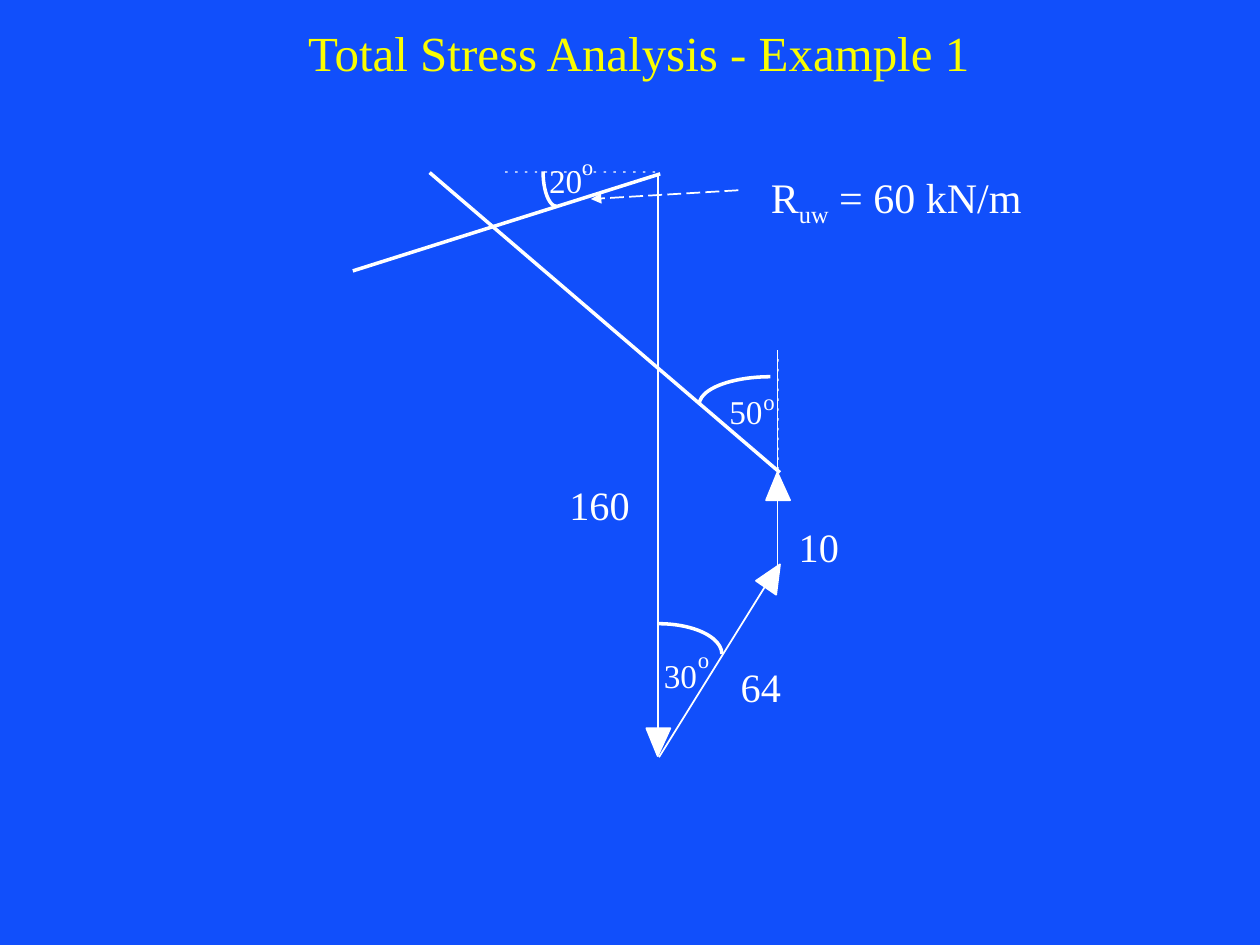
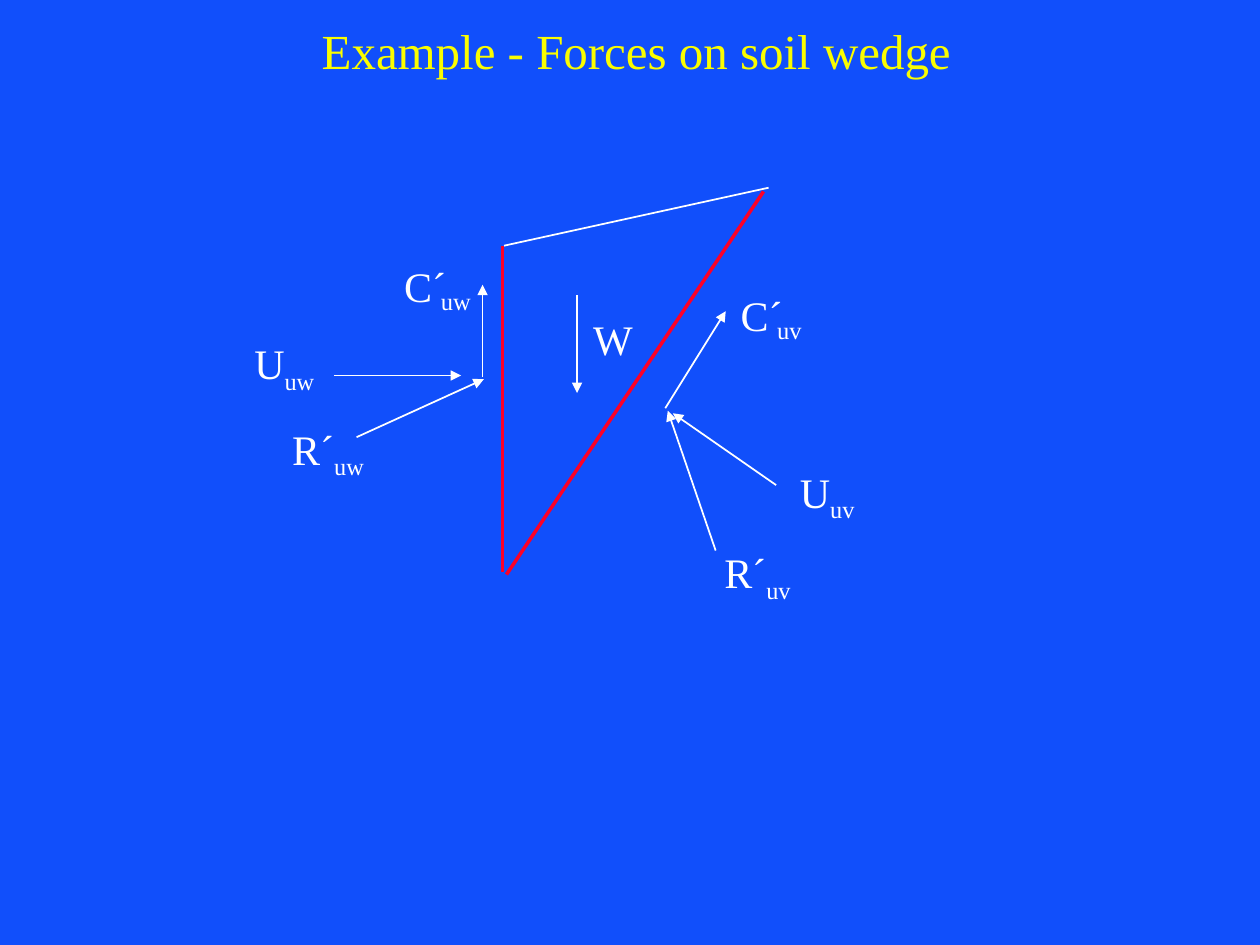
from dataclasses import dataclass

from lxml import etree
from pptx import Presentation
from pptx.dml.color import RGBColor
from pptx.enum.dml import MSO_LINE
from pptx.enum.shapes import MSO_CONNECTOR, MSO_SHAPE
from pptx.enum.text import MSO_ANCHOR, PP_ALIGN
from pptx.oxml.ns import qn
from pptx.util import Inches, Pt

COLORS = {"background": "114FFB", "title": "FAFD00", "ink": "FFFFFF", "slip": "FC0128"}
FONT = "Times New Roman"
STRAIGHT = MSO_CONNECTOR.STRAIGHT
LONG_DASH = MSO_LINE.LONG_DASH
ARC, RECTANGLE = MSO_SHAPE.ARC, MSO_SHAPE.RECTANGLE
TOP = MSO_ANCHOR.TOP
CENTER = PP_ALIGN.CENTER
TITLE_ONLY = 5
DOT_PITCH = 0.078
DOT_LENGTH, DOT_WIDTH = 0.02, 0.01

Point = tuple[float, float]


@dataclass
class Title:
    text: str
    left: float
    top: float
    width: float


@dataclass
class Label:
    left: float
    top: float
    width: float
    text: str
    subscript: str = ""
    rest: str = ""
    size: float = 24


@dataclass
class Line:
    start: Point
    end: Point
    width: float = 1
    arrow: bool = False
    color: str = "ink"
    dashed: bool = False


@dataclass
class AngleArc:
    """Part of an ellipse, with angles in degrees clockwise from the right."""
    left: float
    top: float
    width: float
    height: float
    start: float
    end: float


@dataclass
class DotRow:
    left: float
    top: float
    count: int
    vertical: bool = False


POLYGON_TITLE = Title("Total Stress Analysis - Example 1", 1.23, 0.13, 7.68)
POLYGON_LINES = [
    Line((5.22, 1.39), (5.22, 5.83)),
    Line((5.23, 6.01), (6.1, 4.61)),
    Line((6.17, 4.49), (6.17, 3.91)),
    Line((6.19, 3.75), (3.41, 1.37), width=2),
    Line((5.24, 1.38), (2.8, 2.15), width=2),
    Line((5.86, 1.51), (4.69, 1.58), arrow=True, dashed=True),
    Line((6.17, 3.74), (6.17, 2.78), width=0.25),
]
FORCE_HEADS = [
    [(5.32, 5.78), (5.13, 5.78), (5.22, 6)],
    [(6, 4.61), (6.16, 4.72), (6.19, 4.48)],
    [(6.08, 3.97), (6.27, 3.97), (6.17, 3.75)],
]
REFERENCE_DOTS = [
    DotRow(4.01, 1.36, 16),
    DotRow(6.17, 2.85, 12, vertical=True),
]
ANGLE_ARCS = [
    AngleArc(4.31, 1.08, 0.22, 0.56, 90, 180),
    AngleArc(5.55, 2.99, 1.13, 0.44, 180, 270),
    AngleArc(4.73, 4.95, 1, 0.48, 270, 0),
]
POLYGON_LABELS = [
    Label(5.17, 5.15, 0.46, "30", size=19),
    Label(5.44, 5.08, 0.29, "o", size=13),
    Label(5.69, 3.06, 0.46, "50", size=19),
    Label(5.96, 3.03, 0.29, "o", size=13),
    Label(4.26, 1.22, 0.46, "20", size=19),
    Label(4.52, 1.16, 0.29, "o", size=13),
    Label(4.42, 3.76, 0.68, "160", size=23),
    Label(5.78, 5.21, 0.52, "64", size=23),
    Label(6.24, 4.1, 0.52, "10", size=23),
    Label(6.02, 1.31, 2.91, "R", "uw", " = 60 kN/m"),
]

WEDGE_TITLE = Title("Example - Forces on soil wedge", 0.73, 0.11, 8.64)
WEDGE_LINES = [
    Line((4, 1.95), (6.1, 1.49)),
    Line((4.02, 4.56), (6.06, 1.52), width=2, color="slip"),
    Line((3.99, 1.95), (3.99, 4.54), width=2, color="slip"),
    Line((2.65, 2.98), (3.66, 2.98), arrow=True),
    Line((2.83, 3.47), (3.84, 3.01), arrow=True),
    Line((3.83, 2.99), (3.83, 2.26), arrow=True),
    Line((6.16, 3.85), (5.34, 3.28), arrow=True),
    Line((5.68, 4.37), (5.3, 3.26), arrow=True),
    Line((5.28, 3.24), (5.76, 2.47), arrow=True),
    Line((4.58, 2.34), (4.58, 3.12), arrow=True),
]
WEDGE_LABELS = [
    Label(5.65, 4.29, 0.73, "R´", "uv"),
    Label(2.22, 3.31, 0.77, "R´", "uw"),
    Label(1.92, 2.63, 0.77, "U", "uw"),
    Label(6.25, 3.65, 0.79, "U", "uv"),
    Label(5.78, 2.25, 0.53, "C´"),
    Label(6.07, 2.45, 0.39, "uv", size=14),
    Label(3.11, 2.02, 0.53, "C´"),
    Label(3.4, 2.22, 0.44, "uw", size=14),
    Label(4.61, 2.44, 0.56, "W"),
]


def color_of(name: str) -> RGBColor:
    return RGBColor.from_string(COLORS[name])


def format_span(span, size: float, color: str) -> None:
    span.font.name = FONT
    span.font.size = Pt(size)
    span.font.color.rgb = color_of(color)


def add_page(deck, title: Title):
    page = deck.slides.add_slide(deck.slide_layouts[TITLE_ONLY])
    box = page.shapes.title
    box.left, box.top = Inches(title.left), Inches(title.top)
    box.width, box.height = Inches(title.width), Inches(0.56)
    frame = box.text_frame
    frame.text = title.text
    frame.vertical_anchor = TOP
    para = frame.paragraphs[0]
    para.alignment = CENTER
    format_span(para.runs[0], 28, "title")
    return page


def add_label(page, label: Label) -> None:
    height = label.size / 60 + 0.1
    box = page.shapes.add_textbox(Inches(label.left), Inches(label.top),
                                  Inches(label.width), Inches(height))
    frame = box.text_frame
    frame.word_wrap = True
    frame.margin_right = 0
    para = frame.paragraphs[0]
    for text in filter(None, (label.text, label.subscript, label.rest)):
        span = para.add_run()
        span.text = text
        format_span(span, label.size, "ink")
        if text == label.subscript:
            span.font._element.set("baseline", "-25000")


def add_line(page, line: Line) -> None:
    ends = [Inches(value) for value in (*line.start, *line.end)]
    connector = page.shapes.add_connector(STRAIGHT, *ends)
    connector.line.color.rgb = color_of(line.color)
    connector.line.width = Pt(line.width)
    if line.dashed:
        connector.line.dash_style = LONG_DASH
    properties = connector._element.spPr
    if line.arrow:
        etree.SubElement(properties.find(qn("a:ln")), qn("a:tailEnd"), type="triangle")
    etree.SubElement(properties, qn("a:effectLst"))


def add_force_head(page, corners: list[Point]) -> None:
    points = [(Inches(x), Inches(y)) for x, y in corners]
    builder = page.shapes.build_freeform(*points[0])
    builder.add_line_segments(points[1:], close=True)
    head = builder.convert_to_shape()
    head.shadow.inherit = False
    head.fill.solid()
    head.fill.fore_color.rgb = color_of("ink")
    head.line.color.rgb = color_of("ink")
    head.line.width = Pt(1)


def add_angle_arc(page, arc: AngleArc) -> None:
    shape = page.shapes.add_shape(ARC, Inches(arc.left), Inches(arc.top),
                                  Inches(arc.width), Inches(arc.height))
    shape.shadow.inherit = False
    # Angles are stored in 1/60000 degree, adjustments are scaled by 100000.
    shape.adjustments[0] = arc.start * 0.6
    shape.adjustments[1] = arc.end * 0.6
    shape.fill.background()
    shape.line.color.rgb = color_of("ink")
    shape.line.width = Pt(2)


def add_dot_row(page, row: DotRow) -> None:
    for index in range(row.count):
        left, top = row.left, row.top
        width, height = DOT_LENGTH, DOT_WIDTH
        if row.vertical:
            top += index * DOT_PITCH
            width, height = height, width
        else:
            left += index * DOT_PITCH
        dot = page.shapes.add_shape(RECTANGLE, Inches(left), Inches(top),
                                    Inches(width), Inches(height))
        dot.shadow.inherit = False
        dot.fill.solid()
        dot.fill.fore_color.rgb = color_of("ink")
        dot.line.fill.background()


def draw_all(page, draw, items: list) -> None:
    for item in items:
        draw(page, item)


def main() -> None:
    deck = Presentation()
    deck.slide_width, deck.slide_height = Inches(10), Inches(7.5)
    backdrop = deck.slide_master.background.fill
    backdrop.solid()
    backdrop.fore_color.rgb = color_of("background")

    polygon_page = add_page(deck, POLYGON_TITLE)
    draw_all(polygon_page, add_line, POLYGON_LINES)
    draw_all(polygon_page, add_force_head, FORCE_HEADS)
    draw_all(polygon_page, add_dot_row, REFERENCE_DOTS)
    draw_all(polygon_page, add_angle_arc, ANGLE_ARCS)
    draw_all(polygon_page, add_label, POLYGON_LABELS)

    wedge_page = add_page(deck, WEDGE_TITLE)
    draw_all(wedge_page, add_line, WEDGE_LINES)
    draw_all(wedge_page, add_label, WEDGE_LABELS)

    deck.save("out.pptx")


if __name__ == "__main__":
    main()
